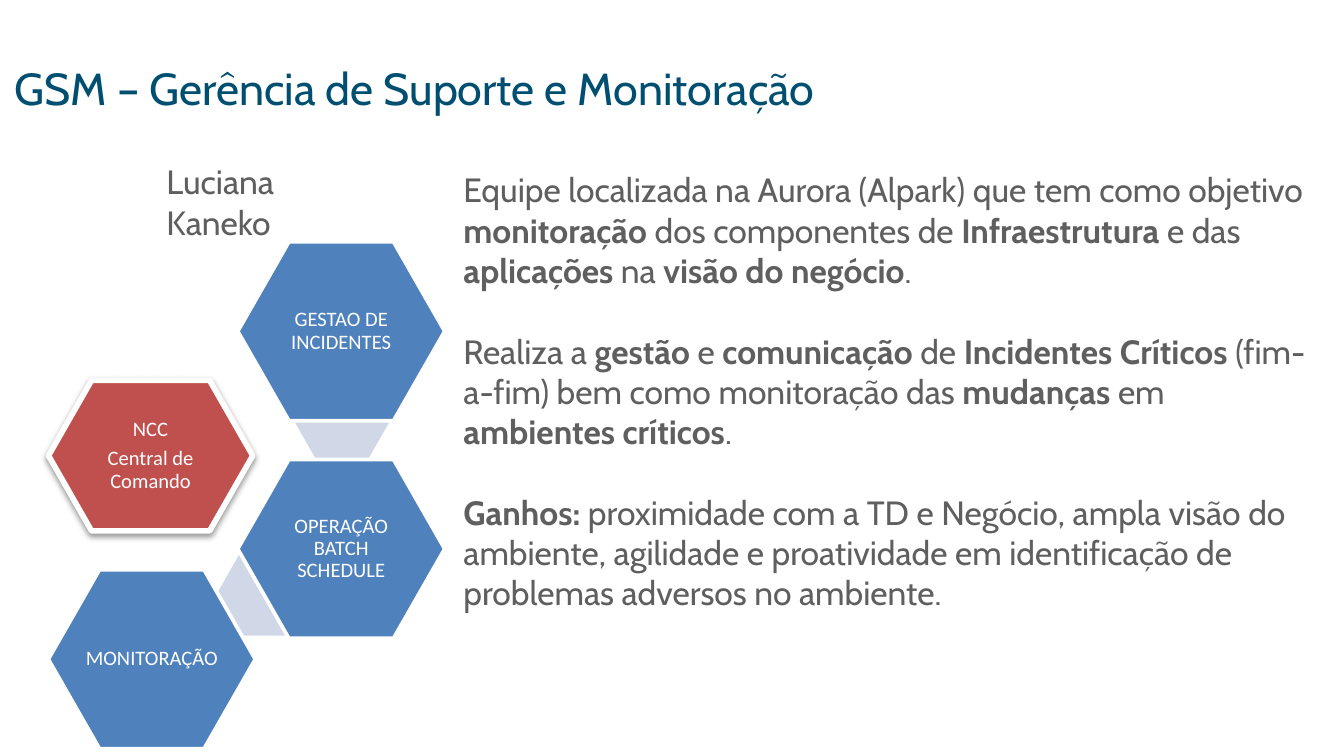
from lxml.etree import SubElement
from pptx import Presentation
from pptx.dml.color import RGBColor
from pptx.enum.shapes import MSO_SHAPE as Shape
from pptx.enum.text import MSO_ANCHOR as Anchor, PP_ALIGN as Align
from pptx.oxml.ns import qn
from pptx.util import Pt

GREY, NAVY, WHITE = "5F5F5F", "004F71", "FFFFFF"
RED, BLUE, PALE = "C0504D", "4F81BD", "D0D8E8"
HEX_SIZE = (110.9, 95.8)
LINK_SIZE = (51.1, 43.9)
LABEL_RATIO = 0.68  # label box size relative to its hexagon

# Every second piece, split at "*", is bold
BODY = [
    "Equipe localizada na Aurora (Alpark) que tem como objetivo *monitoração* dos "
    "componentes de *Infraestrutura* e das *aplicações* na *visão do negócio*.",
    "Realiza a *gestão* e *comunicação* de *Incidentes Críticos* (fim-a-fim) bem como "
    "monitoração das *mudanças* em *ambientes críticos*.",
    "*Ganhos:* proximidade com a TD e Negócio, ampla visão do ambiente, agilidade e "
    "proatividade em identificação de problemas adversos no ambiente.",
]


def color(value):
    return RGBColor.from_string(value)


def style(font, name, size, ink):
    font.name, font.size = name, Pt(size)
    font.color.rgb = color(ink)


def add_box(page, left, top, width, height):
    box = page.shapes.add_textbox(Pt(left), Pt(top), Pt(width), Pt(height))
    box.text_frame.word_wrap = True
    return box.text_frame


def add_line_of_text(page, place, text, size, ink):
    frame = add_box(page, *place)
    frame.text = text
    style(frame.paragraphs[0].runs[0].font, "Cabin", size, ink)


def add_body(page, place, texts):
    frame = add_box(page, *place)
    for index, text in enumerate(texts):
        para = frame.add_paragraph() if index else frame.paragraphs[0]
        if index:
            para.space_before = Pt(21.6)
        for number, piece in enumerate(text.split("*")):
            if piece:
                span = para.add_run()
                span.text = piece
                style(span.font, "Cabin", 18, GREY)
                span.font.bold = number % 2 == 1


def add_hexagon(page, left, top, size, fill, border=0):
    hexagon = page.shapes.add_shape(Shape.HEXAGON, Pt(left), Pt(top), *map(Pt, size))
    hexagon.adjustments[0] = 0.286
    hexagon.adjustments[1] = 1.155
    hexagon.shadow.inherit = False
    hexagon.fill.solid()
    hexagon.fill.fore_color.rgb = color(fill)
    if border:
        hexagon.line.color.rgb = color(WHITE)
        hexagon.line.width = Pt(border)
    else:
        hexagon.line.fill.background()
    return hexagon


def add_soft_shadow(shape):
    effects = shape.element.spPr.find(qn("a:effectLst"))
    shadow = SubElement(effects, qn("a:outerShdw"), blurRad=str(Pt(3.1)),
                        dist=str(Pt(1.6)), dir="5400000", rotWithShape="0")
    black = SubElement(shadow, qn("a:srgbClr"), val="000000")
    SubElement(black, qn("a:alpha"), val="38000")


def add_label(page, left, top, size, lines):
    width, height = (side * LABEL_RATIO for side in size)
    frame = add_box(page, left + (size[0] - width) / 2, top + (size[1] - height) / 2,
                    width, height)
    frame.vertical_anchor = Anchor.MIDDLE
    frame.margin_left = frame.margin_right = Pt(1.4)
    frame.margin_top = frame.margin_bottom = Pt(1.4)
    frame.text = "\n".join(lines)
    for para in frame.paragraphs:
        para.alignment = Align.CENTER
        para.line_spacing = 0.9
        para.space_after = Pt(3.85)
        style(para.runs[0].font, "Calibri", 11, WHITE)


def add_team(page, left, top, text):
    add_hexagon(page, left, top, HEX_SIZE, BLUE, 2)
    add_label(page, left, top, HEX_SIZE, [text])


def main():
    deck = Presentation()
    deck.slide_width, deck.slide_height = Pt(720), Pt(405)
    page = deck.slides.add_slide(deck.slide_layouts[6])

    # Description
    add_body(page, (241.2, 87.1, 465.8, 247), BODY)

    # Command centre
    centre, centre_size = (26, 203.8), (109.4, 80.6)
    add_soft_shadow(add_hexagon(page, *centre, centre_size, RED, 3))
    add_label(page, *centre, centre_size, ["NCC", "Central de Comando"])

    # Teams, each link partly hidden behind the next hexagon
    add_hexagon(page, 157.7, 203.8, LINK_SIZE, PALE)
    add_team(page, 127.4, 129.6, "GESTAO DE INCIDENTES")
    add_hexagon(page, 115.9, 296.6, LINK_SIZE, PALE)
    add_team(page, 127.4, 246.2, "OPERAÇÃO BATCH SCHEDULE")
    add_team(page, 25.9, 305.3, "MONITORAÇÃO")

    # Title and manager
    add_line_of_text(page, (0.7, 28.8, 719.3, 36), "GSM – Gerência de Suporte e Monitoração",
                     24, NAVY)
    add_line_of_text(page, (82.1, 82.8, 129, 29), "Luciana Kaneko", 18, GREY)

    deck.save("out.pptx")


if __name__ == "__main__":
    main()
